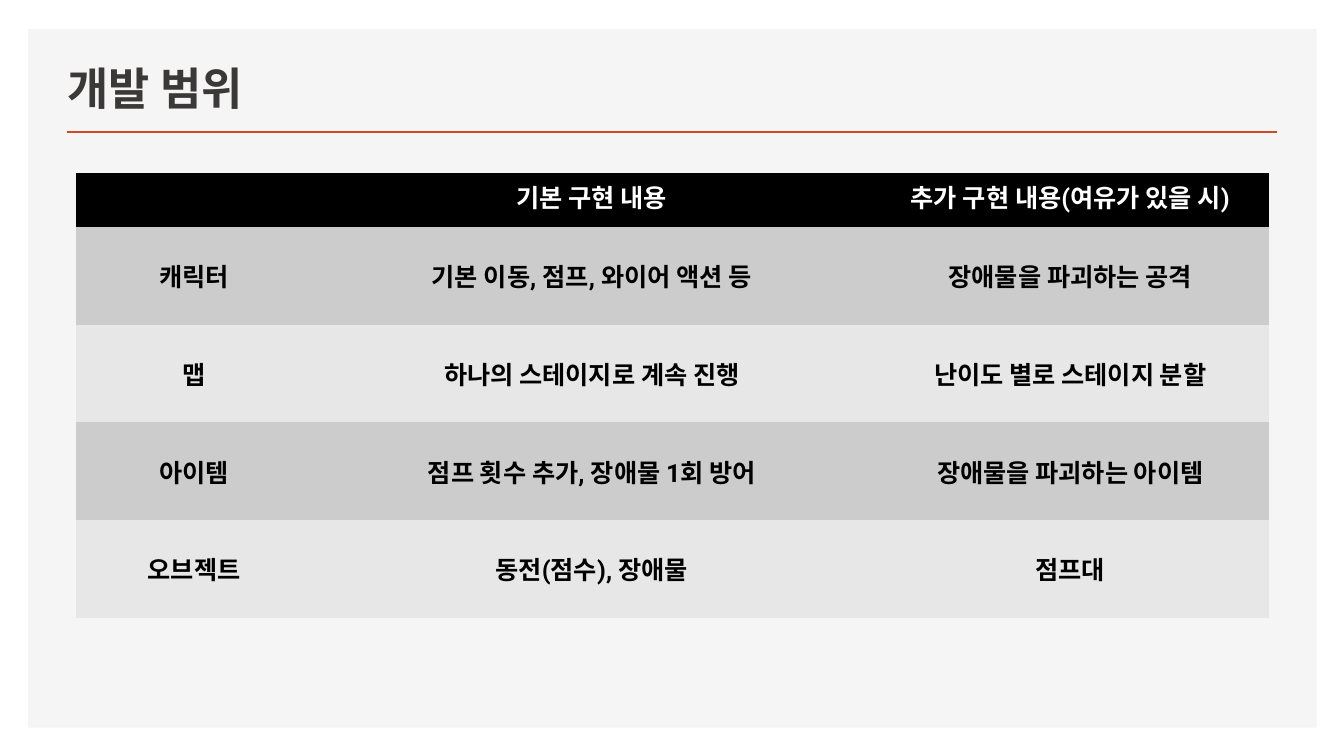
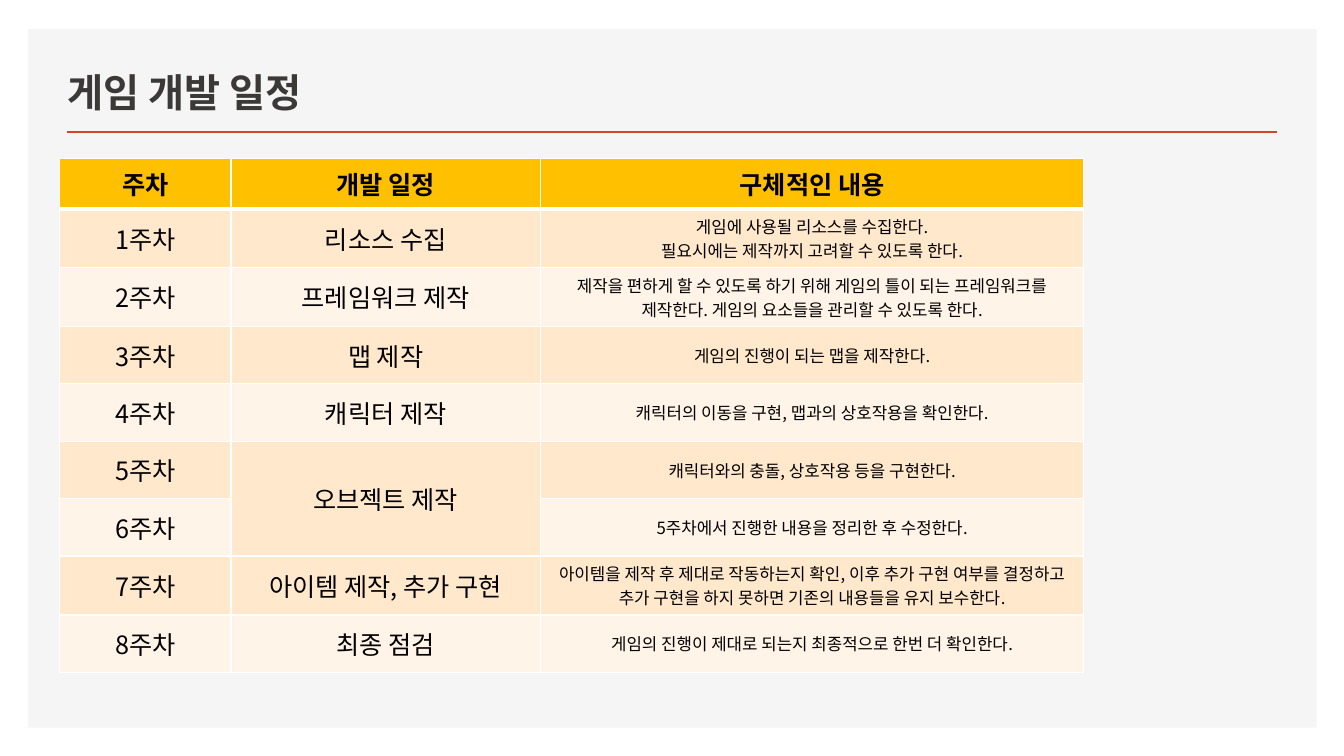
from dataclasses import dataclass

from lxml.etree import SubElement
from pptx import Presentation
from pptx.dml.color import RGBColor
from pptx.enum.shapes import MSO_CONNECTOR, MSO_SHAPE
from pptx.enum.text import MSO_ANCHOR as Anchor, MSO_AUTO_SIZE, PP_ALIGN as Align
from pptx.oxml.ns import qn
from pptx.slide import Slide, SlideLayout
from pptx.table import Table, _Cell as Cell
from pptx.text.text import TextFrame
from pptx.util import Inches, Pt


@dataclass(frozen=True)
class Theme:
    panel: str = "F5F5F5"
    accent: str = "D24726"
    title: str = "3B3838"
    black: str = "000000"
    white: str = "FFFFFF"
    amber: str = "FFC000"
    grey_bands: tuple[str, str] = ("CCCCCC", "E7E7E7")
    peach_bands: tuple[str, str] = ("FFE8CC", "FFF4E7")
    korean: str = "Noto Sans CJK KR"
    latin: str = "Roboto"
    cell_size: int = 18
    detail_size: int = 12
    thin: int = 1
    thick: int = 3


THEME = Theme()


@dataclass(frozen=True)
class TextStyle:
    size: int
    color: str = THEME.black
    bold: bool = False
    font: str = THEME.korean


@dataclass(frozen=True)
class Grid:
    left: float
    top: float
    widths: tuple[float, ...]
    header_height: float
    row_height: float
    header_fill: str
    bands: tuple[str, str]
    header_style: TextStyle
    column_styles: tuple[TextStyle, ...]
    header_anchor: Anchor
    ruled: bool
    rows: tuple[tuple[str, ...], ...]
    merged: tuple[tuple[int, int, int, int], ...] = ()


@dataclass(frozen=True)
class Page:
    title: str
    title_size: int
    title_width: float
    grid: Grid


SCOPE_TEXT = TextStyle(THEME.cell_size, bold=True, font=THEME.latin)
SCHEDULE_TEXT = TextStyle(THEME.cell_size)

SCOPE = Grid(
    left=0.75, top=1.72, widths=(2.35, 5.54, 3.95),
    header_height=0.53, row_height=0.97,
    header_fill=THEME.black, bands=THEME.grey_bands,
    header_style=TextStyle(THEME.cell_size, THEME.white, True, THEME.latin),
    column_styles=(SCOPE_TEXT,) * 3,
    header_anchor=Anchor.TOP, ruled=False,
    rows=(
        ("", "기본 구현 내용", "추가 구현 내용(여유가 있을 시)"),
        ("캐릭터", "기본 이동, 점프, 와이어 액션 등", "장애물을 파괴하는 공격"),
        ("맵", "하나의 스테이지로 계속 진행", "난이도 별로 스테이지 분할"),
        ("아이템", "점프 횟수 추가, 장애물 1회 방어", "장애물을 파괴하는 아이템"),
        ("오브젝트", "동전(점수), 장애물", "점프대"),
    ),
)

SCHEDULE = Grid(
    left=0.59, top=1.57, widths=(1.7, 3.07, 5.39),
    header_height=0.5, row_height=0.57,
    header_fill=THEME.amber, bands=THEME.peach_bands,
    header_style=TextStyle(THEME.cell_size, bold=True),
    column_styles=(SCHEDULE_TEXT, SCHEDULE_TEXT, TextStyle(THEME.detail_size)),
    header_anchor=Anchor.MIDDLE, ruled=True,
    rows=(
        ("주차", "개발 일정", "구체적인 내용"),
        ("1주차", "리소스 수집",
         "게임에 사용될 리소스를 수집한다.\n필요시에는 제작까지 고려할 수 있도록 한다."),
        ("2주차", "프레임워크 제작",
         "제작을 편하게 할 수 있도록 하기 위해 게임의 틀이 되는 프레임워크를 제작한다. "
         "게임의 요소들을 관리할 수 있도록 한다."),
        ("3주차", "맵 제작", "게임의 진행이 되는 맵을 제작한다."),
        ("4주차", "캐릭터 제작", "캐릭터의 이동을 구현, 맵과의 상호작용을 확인한다."),
        ("5주차", "오브젝트 제작", "캐릭터와의 충돌, 상호작용 등을 구현한다."),
        ("6주차", "", "5주차에서 진행한 내용을 정리한 후 수정한다."),
        ("7주차", "아이템 제작, 추가 구현",
         "아이템을 제작 후 제대로 작동하는지 확인, 이후 추가 구현 여부를 결정하고 "
         "추가 구현을 하지 못하면 기존의 내용들을 유지 보수한다."),
        ("8주차", "최종 점검", "게임의 진행이 제대로 되는지 최종적으로 한번 더 확인한다."),
    ),
    merged=((5, 1, 6, 1),),
)

PAGES = (
    Page("개발 범위", 32, 9.42, SCOPE),
    Page("게임 개발 일정", 28, 7.52, SCHEDULE),
)


def rgb(color: str) -> RGBColor:
    return RGBColor.from_string(color)


def write(frame: TextFrame, text: str, style: TextStyle, align: Align) -> None:
    frame.text = text
    for paragraph in frame.paragraphs:
        paragraph.alignment = align
        for run in paragraph.runs:
            font = run.font
            font.size, font.bold, font.name = Pt(style.size), style.bold, style.font
            font.color.rgb = rgb(style.color)
            east_asian = SubElement(font.fill._xPr, qn("a:ea"))
            east_asian.set("typeface", THEME.korean)


def add_backdrop(layout: SlideLayout, slide: Slide) -> None:
    panel = slide.shapes.add_shape(
        MSO_SHAPE.RECTANGLE, Inches(0.28), Inches(0.29), Inches(12.78), Inches(6.93))
    panel.shadow.inherit = False
    panel.fill.solid()
    panel.fill.fore_color.rgb = rgb(THEME.panel)
    panel.line.fill.background()
    rule = slide.shapes.add_connector(
        MSO_CONNECTOR.STRAIGHT, Inches(0.66), Inches(1.31), Inches(12.67), Inches(1.31))
    rule.line.color.rgb = rgb(THEME.accent)
    rule.line.width = Pt(2)
    SubElement(rule.element.spPr, qn("a:effectLst"))
    for depth, shape in enumerate((panel, rule), start=2):
        layout.shapes.element.insert(depth, shape.element)


def add_title(slide: Slide, page: Page) -> None:
    title = slide.shapes.title
    title.left, title.top = Inches(0.57), Inches(0.49)
    title.width, title.height = Inches(page.title_width), Inches(0.7)
    frame = title.text_frame
    frame.vertical_anchor = Anchor.BOTTOM
    frame.auto_size = MSO_AUTO_SIZE.NONE
    write(frame, page.title, TextStyle(page.title_size, THEME.title, True), Align.LEFT)


def rule_cell(cell: Cell, row: int) -> None:
    weights = {
        "a:lnL": THEME.thin,
        "a:lnR": THEME.thin,
        "a:lnT": THEME.thick if row == 1 else THEME.thin,
        "a:lnB": THEME.thick if row == 0 else THEME.thin,
    }
    properties = cell._tc.get_or_add_tcPr()
    for side, weight in weights.items():
        border = SubElement(properties, qn(side), w=str(Pt(weight)))
        fill = SubElement(border, qn("a:solidFill"))
        SubElement(fill, qn("a:srgbClr"), val=THEME.white)


def clear_table_style(table: Table) -> None:
    table.horz_banding = False
    table.first_row = False
    style = table._tbl.tblPr.find(qn("a:tableStyleId"))
    style.text = "{2D5ABB26-0587-4C30-8999-92F81FD0307C}"


def add_grid(slide: Slide, grid: Grid) -> None:
    heights = [grid.header_height] + [grid.row_height] * (len(grid.rows) - 1)
    table = slide.shapes.add_table(
        len(heights), len(grid.widths), Inches(grid.left), Inches(grid.top),
        Inches(sum(grid.widths)), Inches(sum(heights))).table
    clear_table_style(table)
    for column, width in zip(table.columns, grid.widths):
        column.width = Inches(width)
    for row, height in zip(table.rows, heights):
        row.height = Inches(height)
    for r, texts in enumerate(grid.rows):
        is_header = r == 0
        color = grid.header_fill if is_header else grid.bands[(r - 1) % 2]
        for c, text in enumerate(texts):
            cell = table.cell(r, c)
            cell.vertical_anchor = grid.header_anchor if is_header else Anchor.MIDDLE
            if grid.ruled:
                rule_cell(cell, r)
            cell.fill.solid()
            cell.fill.fore_color.rgb = rgb(color)
            if text:
                style = grid.header_style if is_header else grid.column_styles[c]
                write(cell.text_frame, text, style, Align.CENTER)
    for top, left, bottom, right in grid.merged:
        table.cell(top, left).merge(table.cell(bottom, right))


def main() -> None:
    deck = Presentation()
    deck.slide_width, deck.slide_height = Inches(13.33), Inches(7.5)
    layout = deck.slide_layouts.get_by_name("Title Only")
    for number, page in enumerate(PAGES):
        slide = deck.slides.add_slide(layout)
        if number == 0:
            add_backdrop(layout, slide)
        add_title(slide, page)
        add_grid(slide, page.grid)
    deck.save("out.pptx")


if __name__ == "__main__":
    main()
